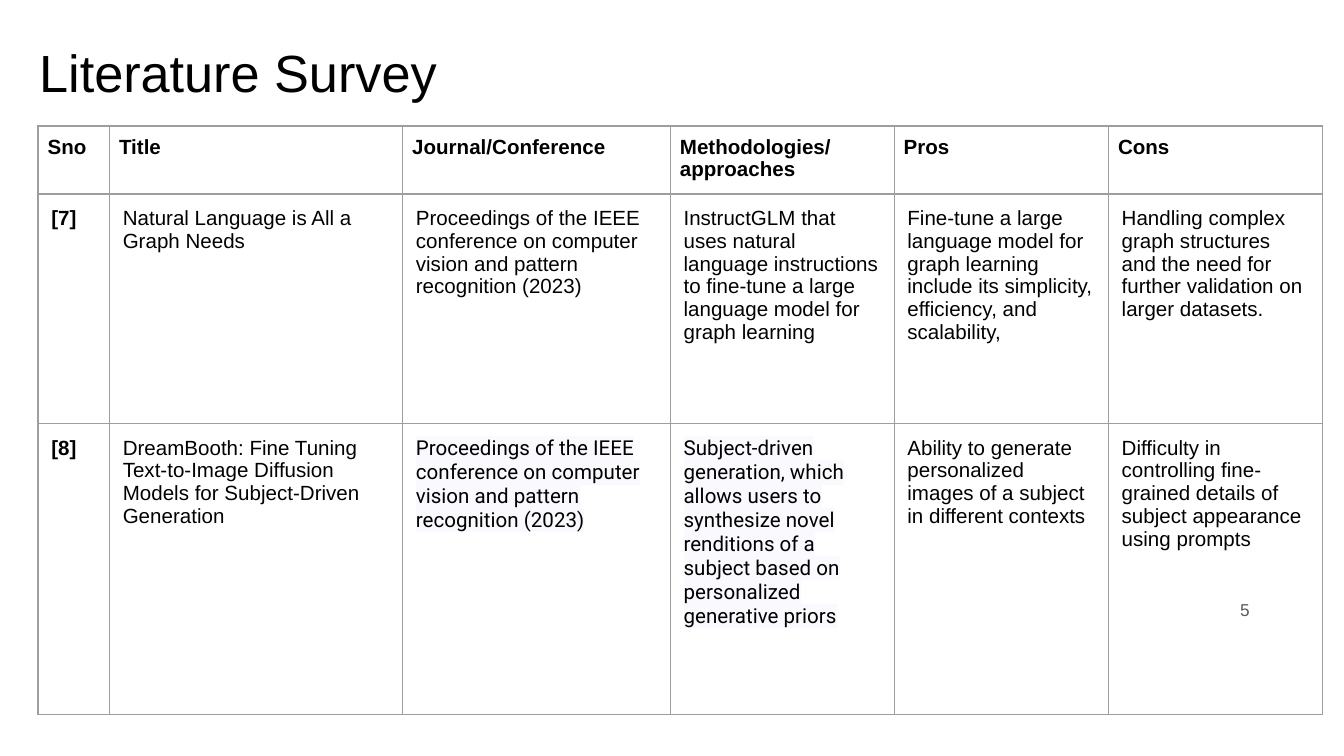
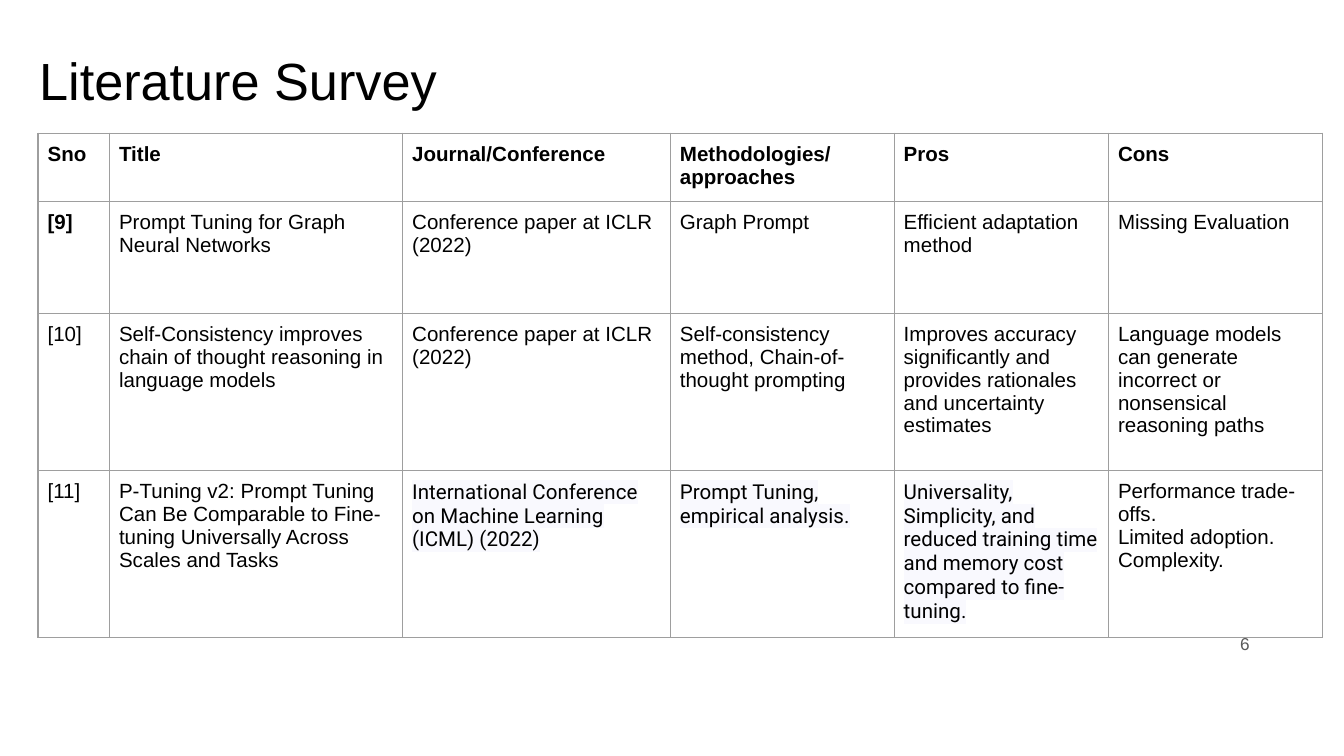
from lxml.etree import SubElement as sub
from pptx import Presentation
from pptx.dml.color import RGBColor
from pptx.enum.text import MSO_ANCHOR as Anchor, MSO_AUTO_SIZE as Fit, PP_ALIGN as Align
from pptx.oxml import parse_xml
from pptx.oxml.ns import nsdecls, qn
from pptx.util import Cm, Pt

BLACK = RGBColor(0x00, 0x00, 0x00)
GRAY = RGBColor(0x59, 0x59, 0x59)
RULE = RGBColor(0x9E, 0x9E, 0x9E)
TINT = RGBColor(0xF9, 0xF9, 0xFE)
SANS, ROBOTO = "Arial", "Roboto"

LEFT = 0.72
COLS = [1.35, 5.54, 5.06, 4.23, 4.05, 4.05]
FRAME = 8.33
THIN, WIDE = 0.18, 0.25

HEAD = ["Sno", "Title", "Journal/Conference", "Methodologies/approaches", "Pros", "Cons"]
BOLD = HEAD + ["[7]", "[8]", "[9]"]
IEEE = ("Proceedings of the IEEE conference on computer vision and pattern "
        "recognition (2023)")
ICLR = "Conference paper at ICLR (2022)"

VISION = [
    ["[7]", "Natural Language is All a Graph Needs", IEEE,
     "InstructGLM that uses natural language instructions to fine-tune a large "
     "language model for graph learning",
     "Fine-tune a large language model for graph learning include its simplicity, "
     "efficiency, and scalability,",
     "Handling complex graph structures and the need for further validation on "
     "larger datasets."],
    ["[8]", "DreamBooth: Fine Tuning Text-to-Image Diffusion Models for "
     "Subject-Driven Generation", IEEE,
     "Subject-driven generation, which allows users to synthesize novel renditions "
     "of a subject based on personalized generative priors",
     "Ability to generate personalized images of a subject in different contexts",
     "Difficulty in controlling fine-grained details of subject appearance using "
     "prompts"],
]
PROMPTS = [
    ["[9]", "Prompt Tuning for Graph Neural Networks", ICLR, "Graph Prompt",
     "Efficient adaptation method", "Missing Evaluation"],
    ["[10]", "Self-Consistency improves chain of thought reasoning in language models",
     ICLR, "Self-consistency method, Chain-of-thought prompting",
     "Improves accuracy significantly and provides rationales and uncertainty "
     "estimates",
     "Language models can generate incorrect or nonsensical reasoning paths"],
    ["[11]", "P-Tuning v2: Prompt Tuning Can Be Comparable to Fine-tuning "
     "Universally Across Scales and Tasks",
     "International Conference on Machine Learning (ICML) (2022)",
     "Prompt Tuning, empirical analysis.",
     "Universality, Simplicity, and reduced training time and memory cost compared "
     "to fine-tuning.",
     "Performance trade-offs.\nLimited adoption.\nComplexity."],
]


def style(frame, size, color=BLACK, bold=False, face=SANS):
    for para in frame.paragraphs:
        for run in para.runs:
            font = run.font
            font.size, font.bold, font.name = Pt(size), bold, face
            font.color.rgb = color


def pad(box, side, end):
    box.margin_left = box.margin_right = Cm(side)
    box.margin_top = box.margin_bottom = Cm(end)


def mark(frame):
    """Put the pale highlight behind every run."""
    for para in frame.paragraphs:
        for run in para.runs:
            fill = run.font._element.find(qn("a:solidFill"))
            fill.addnext(parse_xml(
                f'<a:highlight {nsdecls("a")}><a:srgbClr val="{TINT}"/></a:highlight>'))


def edge(cell):
    """Rule all four sides of a cell and leave it unfilled."""
    props = cell._tc.get_or_add_tcPr()
    for side in ("lnL", "lnR", "lnT", "lnB"):
        line = sub(props, qn(f"a:{side}"), w=str(Pt(0.75)))
        sub(sub(line, qn("a:solidFill")), qn("a:srgbClr"), val=str(RULE))
    cell.fill.background()


def add_title(slide, top):
    title = slide.shapes.title
    title.left, title.top = Cm(0.56), Cm(top)
    title.width, title.height = Cm(23.5), Cm(1.22)
    frame = title.text_frame
    frame.text = "Literature Survey"
    frame.auto_size, frame.vertical_anchor = Fit.NONE, Anchor.TOP
    pad(frame, THIN, 0.1)
    frame.paragraphs[0].alignment = Align.LEFT
    style(frame, 28)


def add_number(slide, top, number):
    frame = slide.shapes.add_textbox(Cm(22.83), Cm(top), Cm(0.97), Cm(0.53)).text_frame
    frame.text = str(number)
    frame.word_wrap, frame.vertical_anchor = True, Anchor.BOTTOM
    pad(frame, THIN, 0.1)
    para = frame.paragraphs[0]
    para.alignment, para.line_spacing = Align.RIGHT, 0.8
    style(frame, 9.2, GRAY)


def add_grid(slide, top, rows, highs, inset, tinted=()):
    """Draw a ruled table; tinted lists the columns marked in its last row."""
    shape = slide.shapes.add_table(len(rows), len(COLS), Cm(LEFT), Cm(top),
                                   Cm(FRAME), Cm(FRAME))
    table = shape.table
    table.first_row = table.horz_banding = False
    for col, width in zip(table.columns, COLS):
        col.width = Cm(width)
    for r, (texts, high) in enumerate(zip(rows, highs)):
        table.rows[r].height = Cm(high)
        for c, text in enumerate(texts):
            cell = table.cell(r, c)
            frame = cell.text_frame
            frame.text = text
            pad(cell, inset, inset)
            edge(cell)
            special = r == len(rows) - 1 and c in tinted
            style(frame, 11, bold=text in BOLD, face=ROBOTO if special else SANS)
            if special:
                mark(frame)
    shape.width = shape.height = Cm(FRAME)


def add_page(deck, title_top, number_top, number):
    slide = deck.slides.add_slide(deck.slide_layouts[5])
    add_title(slide, title_top)
    add_number(slide, number_top, number)
    return slide


def main():
    deck = Presentation()
    deck.slide_width, deck.slide_height = Cm(25.4), Cm(14.29)

    slide = add_page(deck, 0.66, 11.28, 5)
    add_grid(slide, 2.38, [HEAD], [1.27], THIN)
    add_grid(slide, 3.66, VISION, [4.34, 5.5], WIDE, tinted=(2, 3))

    slide = add_page(deck, 0.81, 11.92, 6)
    add_grid(slide, 2.52, [HEAD] + PROMPTS, [1.25, 2.11, 2.97, 3.1], THIN,
             tinted=(2, 3, 4))

    deck.save("out.pptx")


if __name__ == "__main__":
    main()
